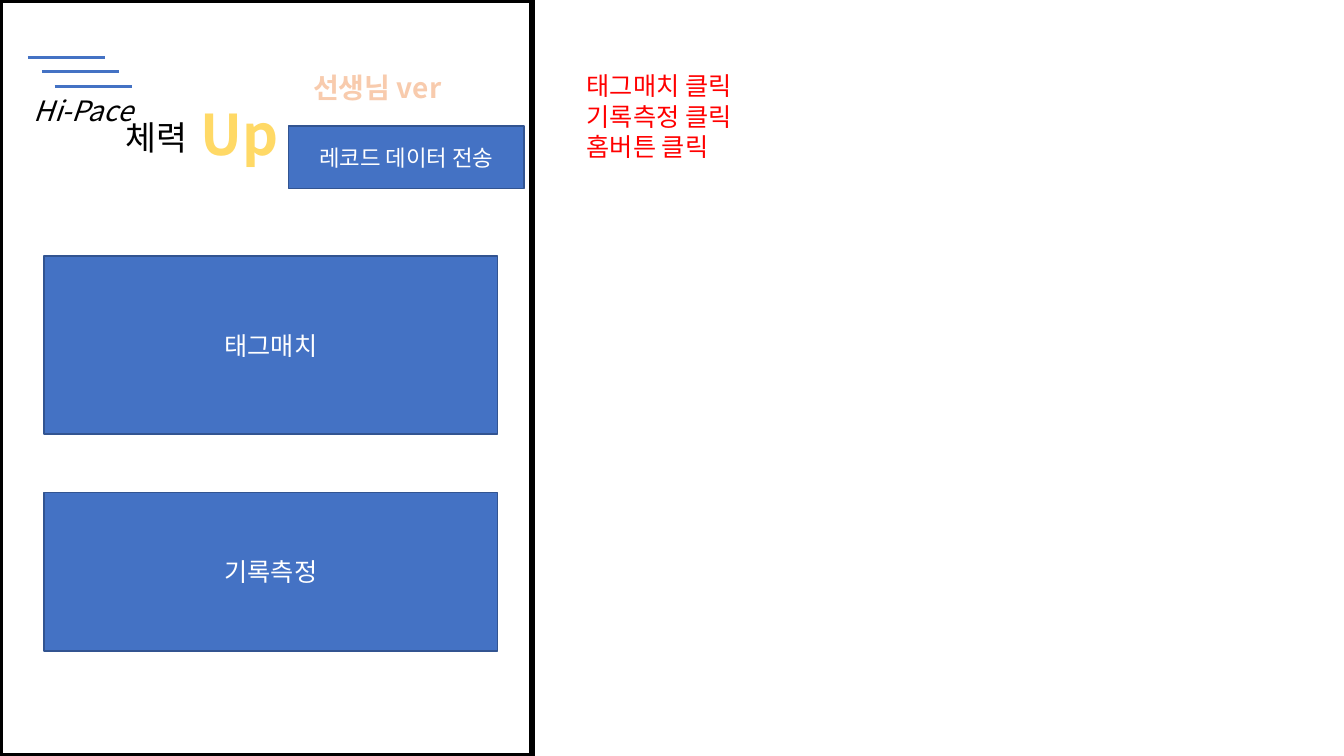
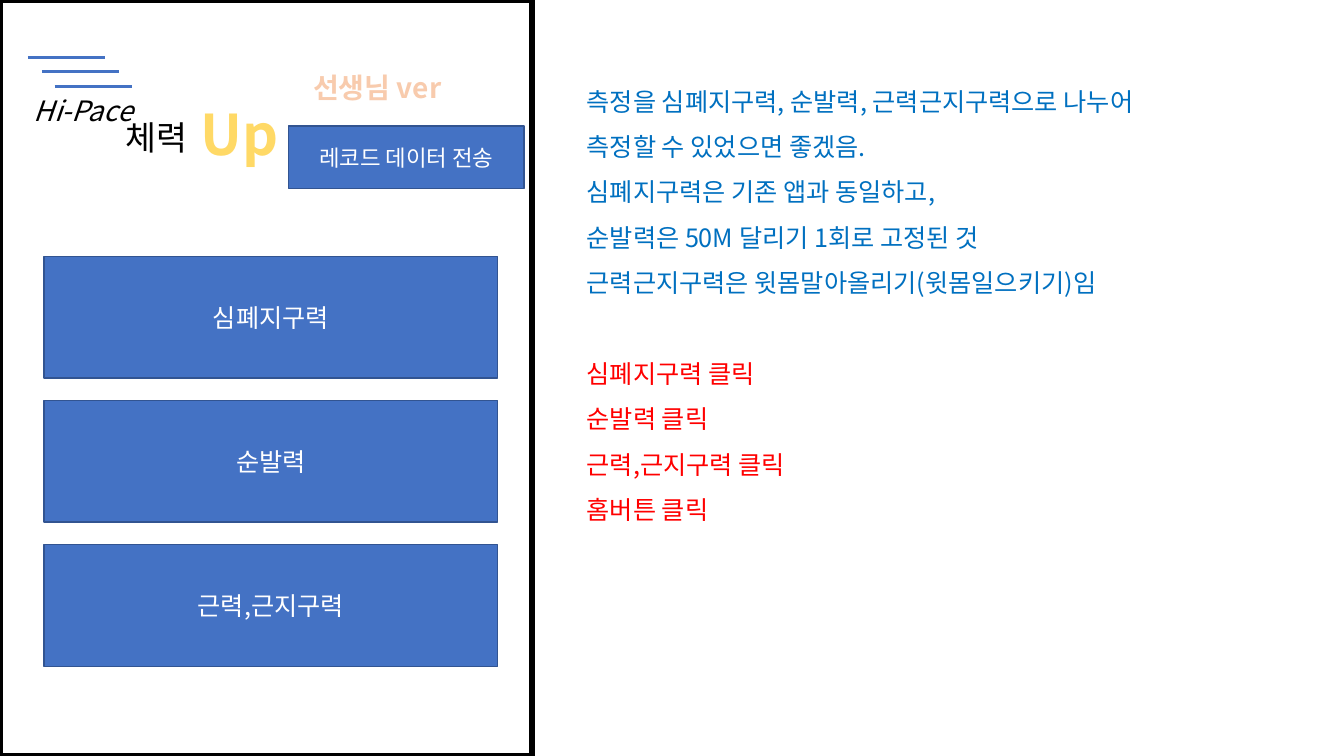
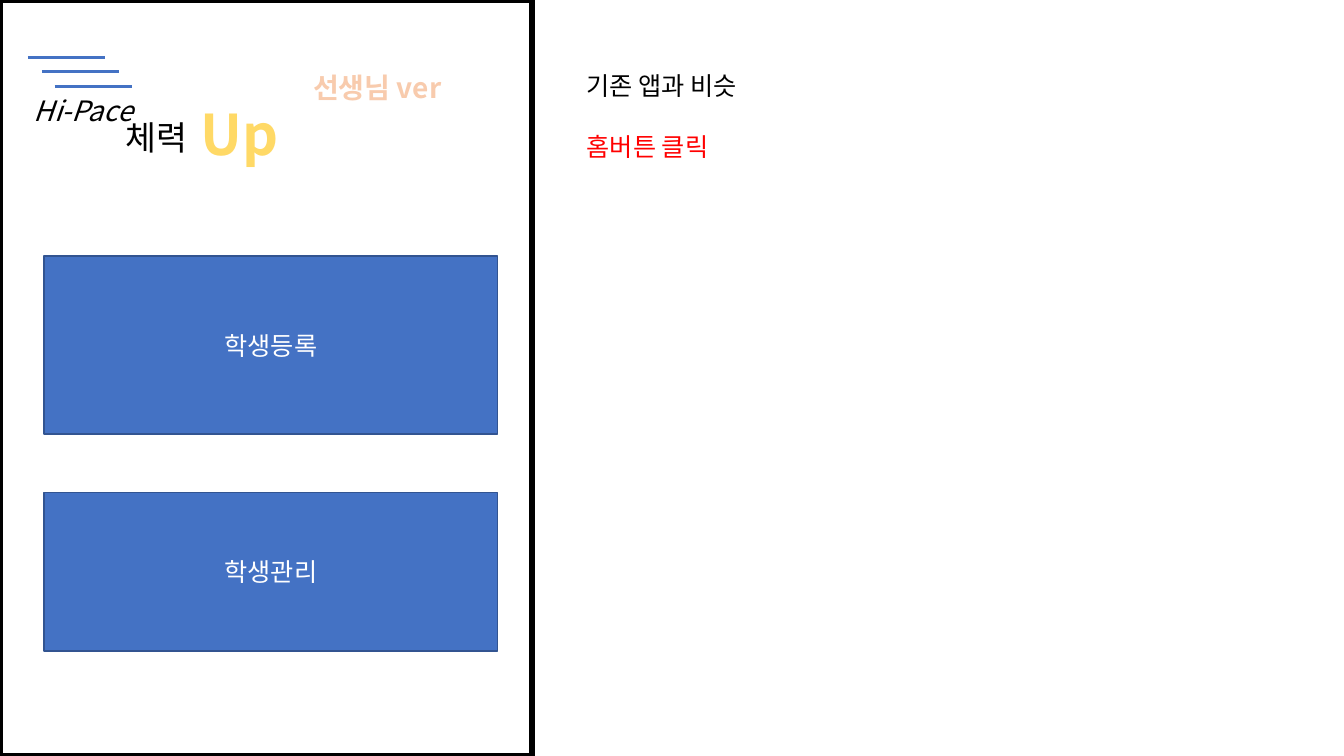
from pptx import Presentation
from pptx.dml.color import RGBColor
from pptx.enum.shapes import MSO_CONNECTOR, MSO_SHAPE
from pptx.enum.text import MSO_ANCHOR, PP_ALIGN
from pptx.oxml.ns import qn
from pptx.util import Pt

RECT, LINE = MSO_SHAPE.RECTANGLE, MSO_CONNECTOR.STRAIGHT
LEFT, CENTER = PP_ALIGN.LEFT, PP_ALIGN.CENTER
TOP, MIDDLE = MSO_ANCHOR.TOP, MSO_ANCHOR.MIDDLE

FONT = "Noto Sans CJK KR"
BLACK = RGBColor(0x00, 0x00, 0x00)
WHITE = RGBColor(0xFF, 0xFF, 0xFF)
BLUE = RGBColor(0x44, 0x72, 0xC4)
NAVY = RGBColor(0x32, 0x54, 0x91)
PEACH = RGBColor(0xF8, 0xCB, 0xAD)
GOLD = RGBColor(0xFF, 0xD9, 0x66)
RED = RGBColor(0xFF, 0x00, 0x00)
SKY = RGBColor(0x00, 0x70, 0xC0)

WIDE, HIGH = 960, 540
PANEL = (0, 0, 380, HIGH)
NOTES = (412, 47, 456.5, 330)


def write(para, text, size=18, color=BLACK, bold=False, italic=False,
          align=LEFT, space=None, before=0):
    """Fill one paragraph with formatted text."""
    para.alignment = align
    para.space_before = Pt(before)
    if space:
        para.line_spacing = space
    run = para.add_run()
    run.text = text
    font = run.font
    font.name, font.size, font.bold, font.italic = FONT, Pt(size), bold, italic
    font.color.rgb = color
    east = run._r.get_or_add_rPr().makeelement(qn("a:ea"), {"typeface": FONT})
    font._element.find(qn("a:latin")).addnext(east)


def label(slide, box, text, wrap=True, **style):
    frame = slide.shapes.add_textbox(*map(Pt, box)).text_frame
    frame.word_wrap = wrap
    frame.vertical_anchor = TOP
    write(frame.paragraphs[0], text, **style)


def block(slide, box, fill, edge, width):
    shape = slide.shapes.add_shape(RECT, *map(Pt, box))
    shape.shadow.inherit = False
    shape.fill.solid()
    shape.fill.fore_color.rgb = fill
    shape.line.color.rgb = edge
    shape.line.width = Pt(width)
    return shape


def button(slide, box, text, size=18):
    frame = block(slide, box, BLUE, NAVY, 1).text_frame
    frame.word_wrap = True
    frame.vertical_anchor = MIDDLE
    write(frame.paragraphs[0], text, size=size, color=WHITE, align=CENTER)


def stroke(slide, x, y, length):
    line = slide.shapes.add_connector(LINE, Pt(x), Pt(y), Pt(x + length), Pt(y))
    line.line.color.rgb = BLUE
    line.line.width = Pt(2)
    props = line._element.spPr
    props.append(props.makeelement(qn("a:effectLst"), {}))


def header(slide, box, send):
    """App title, speed lines, version tag and the optional send button."""
    x, y = box[:2]
    label(slide, (x + 208, y + 47, 123, 32), "선생님 ver",
          size=20, color=PEACH, bold=True, align=CENTER)
    label(slide, (x + 82, y + 80, 59, 27), "체력",
          wrap=False, size=24, align=CENTER)
    label(slide, (x + 134.5, y + 67.5, 73.5, 55.5), "Up",
          size=40, color=GOLD, bold=True, align=CENTER)
    label(slide, (x + 17, y + 63.5, 100, 24), "Hi-Pace", size=20, italic=True)
    for dx, dy in ((20, 41), (30, 51), (39, 62)):
        stroke(slide, x + dx, y + dy, 55)
    if send:
        button(slide, (x + 206, y + 90, 168.5, 44.5), "레코드 데이터 전송", size=16)


def menu(slide, box, items, gap):
    """Stack of buttons, each given as text and height."""
    x, y = box[0] + 31.5, box[1] + 183
    for text, height in items:
        button(slide, (x, y, 324, height), text)
        y += height + gap


def notes(slide, box, groups, space, gap):
    """Coloured groups of lines, set apart by a gap."""
    frame = slide.shapes.add_textbox(*map(Pt, box)).text_frame
    frame.word_wrap = True
    para = frame.paragraphs[0]
    for g, (color, lines) in enumerate(groups):
        for i, text in enumerate(lines):
            if g or i:
                para = frame.add_paragraph()
            write(para, text, color=color, space=space,
                  before=gap if g and not i else 0)


def screen(deck, items, groups, send=True, row=16, space=1, gap=22):
    """One app screen on the left with its notes on the right."""
    slide = deck.slides.add_slide(deck.slide_layouts[6])
    block(slide, PANEL, WHITE, BLACK, 4.5)
    header(slide, PANEL, send)
    menu(slide, PANEL, items, row)
    notes(slide, NOTES, groups, space, gap)


def main():
    deck = Presentation()
    deck.slide_width, deck.slide_height = Pt(WIDE), Pt(HIGH)

    # Home
    screen(deck, [("태그매치", 127), ("기록측정", 113)],
           [(RED, ["태그매치 클릭", "기록측정 클릭", "홈버튼 클릭"])], row=42)

    # Measuring
    tests = ["심폐지구력", "순발력", "근력,근지구력"]
    screen(deck, [(name, 87) for name in tests], [
        (SKY, ["측정을 심폐지구력, 순발력, 근력근지구력으로 나누어 측정할 수 있었으면 좋겠음.",
               "심폐지구력은 기존 앱과 동일하고,",
               "순발력은 50M 달리기 1회로 고정된 것",
               "근력근지구력은 윗몸말아올리기(윗몸일으키기)임"]),
        (RED, [name + " 클릭" for name in tests + ["홈버튼"]]),
    ], space=1.5, gap=32.5)

    # Students
    screen(deck, [("학생등록", 127), ("학생관리", 113)],
           [(BLACK, ["기존 앱과 비슷"]), (RED, ["홈버튼 클릭"])],
           send=False, row=42)

    deck.save("out.pptx")


if __name__ == "__main__":
    main()
